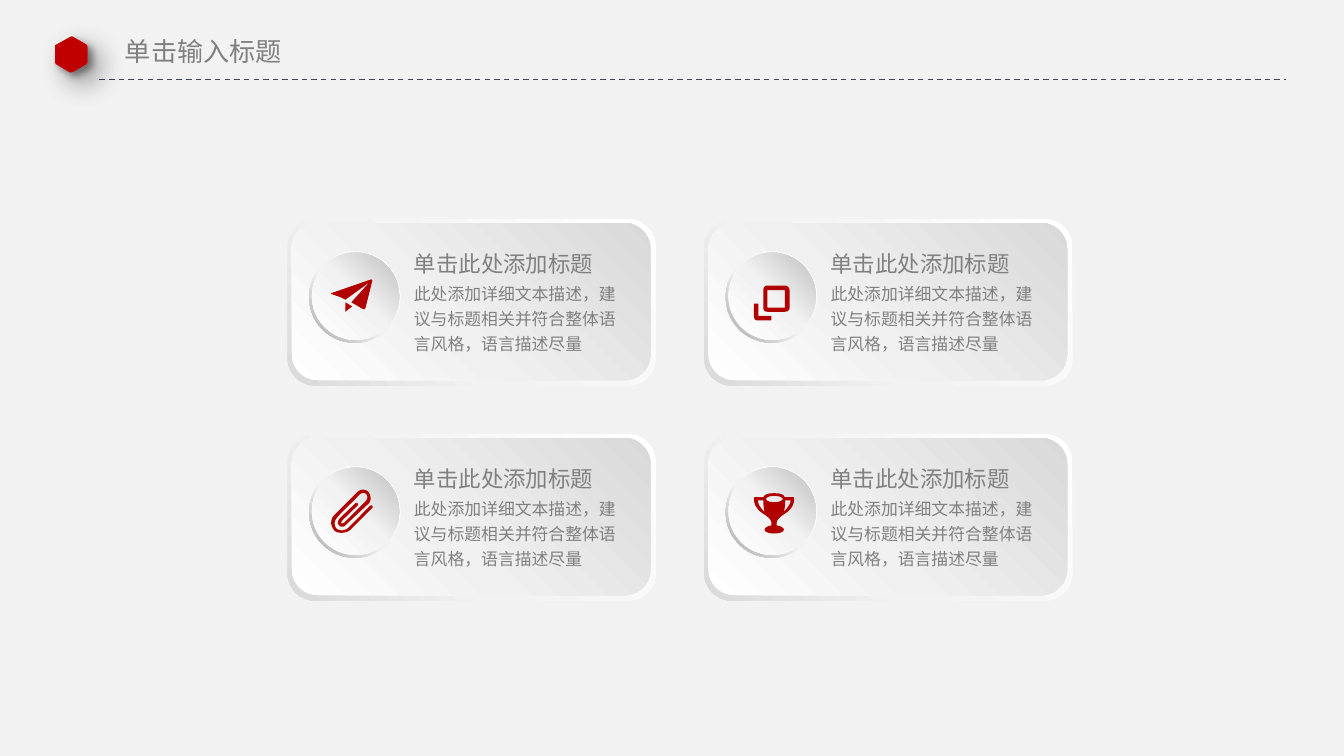
from lxml.etree import SubElement
from pptx import Presentation
from pptx.dml.color import RGBColor
from pptx.enum.dml import MSO_LINE_DASH_STYLE as Dash
from pptx.enum.shapes import MSO_CONNECTOR as Connector, MSO_SHAPE as Preset
from pptx.enum.text import MSO_ANCHOR as Anchor, MSO_AUTO_SIZE as AutoSize, PP_ALIGN as Align
from pptx.oxml.ns import qn
from pptx.util import Inches, Pt

GREY, RED, ICON_RED = "808080", "C00000", "B00000"
CARD_LEFTS, CARD_TOPS = (2.14, 5.24), (1.63, 3.23)
CARD_TITLE = "单击此处添加标题"
CARD_BODY = "此处添加详细文本描述，建议与标题相关并符合整体语言风格，语言描述尽量"

HEXAGON = [[(14, 28), (12, 28.5, 12, 28.5, 11, 28), (1, 22), (0, 21, 0, 21, 0, 20),
            (0, 8), (0, 7, 0, 7, 1, 6.5), (12, 0.3), (13, 0, 13, 0, 14, 0.3),
            (24, 6), (25, 7, 25.5, 7, 25.5, 9), (25.5, 20),
            (25.5, 21, 25, 22, 24, 22.3)]]
PLANE = [
    [(11, 24), (16, 20), (11, 17)],
    [(30, 0), (1, 10), (0, 10.4, 0, 10.7, 1, 11), (7, 13), (11, 15), (29, 2),
     (16, 16.3), (15.5, 17), (24, 22), (25, 22.3, 25.7, 22, 26, 21), (31, 1),
     (31, 0.3, 30.7, 0, 30, 0)],
]
WINDOWS = [
    [(0, 14), (0, 23), (0, 25.5, 1, 26.5, 3, 26.5), (13, 26.5), (13, 23), (3.3, 23), (3.3, 14)],
    [(23, 17), (10, 17), (10, 4), (23, 4)],
    [(23, 0.5), (10, 0.5), (8, 0.5, 7, 2, 7, 4), (7, 17), (7, 19, 8, 20, 10, 20),
     (23, 20), (25, 20, 26.5, 19, 26.5, 17), (26.5, 4), (26.5, 2, 25, 0.5, 23, 0.5)],
]
CLIP = [[
    (9, 32.5), (7, 32.5, 5, 32, 4, 31), (1, 28, 0, 23, 4, 19), (6, 17, 16, 7, 20.5, 2.5),
    (22, 1, 24, 0, 26, 0.5), (29, 1, 30, 3, 30.5, 5), (31, 7, 31, 9, 29, 11), (13, 26),
    (12, 27, 11, 28, 10, 28), (9, 28, 8, 28, 7.5, 27), (6, 26, 6, 24, 8, 21.5),
    (19, 11), (20, 10, 20.5, 10, 21, 10.5), (21.5, 11, 21.5, 12, 21, 12.3), (10, 23),
    (9, 24, 8.7, 25, 9, 25.3), (9.3, 25.7, 10, 25.7, 11, 25), (27, 9),
    (28, 8, 28.5, 7, 28.3, 5.5), (28, 4, 27.3, 3, 26, 2.8), (25, 2.7, 23.5, 3, 22.3, 4.3),
    (18, 9, 8, 18.3, 6, 21), (3, 24, 4, 27, 5, 29), (7, 31, 11, 31.5, 14, 29),
    (30.5, 12.3), (31, 12, 32, 12, 32, 12.5), (32.5, 13, 32.5, 13.6, 32, 14),
    (16, 30), (14, 32, 11, 32.5, 9, 32.5),
]]
TROPHY = [
    [(3, 5.3), (7, 5.3), (7, 9, 7.5, 12, 8, 14), (6, 12, 3, 9, 3, 5.3)],
    [(15, 2), (20, 2, 21.5, 3.7, 21.5, 4.3), (21.5, 5, 20, 6.7, 15, 6.7),
     (10.5, 6.7, 9, 5, 9, 4.3), (9, 3.7, 10.5, 2, 15, 2)],
    [(22, 14), (23, 12, 23.3, 9, 23.3, 5.3), (27.5, 5.3), (27, 9, 24, 12, 22, 14)],
    [(17, 22), (17, 20, 19, 18, 22, 16), (25, 14, 30, 11, 30, 4), (30, 3, 29.5, 3, 29, 3),
     (23, 3), (22, 1, 20, 0, 15, 0), (10, 0, 8, 1, 7, 3), (1, 3), (0.5, 3, 0, 3, 0, 4),
     (0, 11, 5, 14, 8, 16), (11, 18, 13, 20, 13, 22), (13, 24), (10, 24.3, 8, 26, 8, 27),
     (8, 29, 11, 30, 15, 30), (19, 30, 22.3, 29, 22.3, 27), (22.3, 26, 20, 24.3, 17, 24)],
]
ICONS = [(PLANE, 0.32, 0.45), (WINDOWS, 0.37, 0.49), (CLIP, 0.31, 0.41), (TROPHY, 0.37, 0.44)]


def colour(value):
    return RGBColor.from_string(value)


def paint(shape, fill, angle=0):
    shape.shadow.inherit = False
    shape.line.fill.background()
    if isinstance(fill, str):
        shape.fill.solid()
        shape.fill.fore_color.rgb = colour(fill)
        return
    shape.fill.gradient()
    shape.fill.gradient_angle = (360 - angle) % 360
    stops = shape._element.spPr.find(qn("a:gradFill")).find(qn("a:gsLst"))
    for stop in list(stops):
        stops.remove(stop)
    for position, value in fill:
        stop = SubElement(stops, qn("a:gs"), pos=str(position * 1000))
        SubElement(stop, qn("a:srgbClr"), val=value)


def add_shadow(shape, blur, distance):
    effects = shape._element.spPr.find(qn("a:effectLst"))
    shadow = SubElement(effects, qn("a:outerShdw"), blurRad=str(Pt(blur)), dist=str(Pt(distance)),
                        dir=str(45 * 60000), algn="tl", rotWithShape="0")
    black = SubElement(shadow, qn("a:srgbClr"), val="000000")
    SubElement(black, qn("a:alpha"), val="40000")


def add_preset(slide, preset, left, top, width, height, fill, angle):
    shape = slide.shapes.add_shape(preset, Inches(left), Inches(top), Inches(width), Inches(height))
    paint(shape, fill, angle)
    return shape


def flatten(contour, steps=6):
    points = [contour[0]]
    for segment in contour[1:]:
        if len(segment) == 2:
            points.append(segment)
            continue
        controls = [points[-1], segment[:2], segment[2:4], segment[4:]]
        for step in range(1, steps + 1):
            t = step / steps
            weights = ((1 - t) ** 3, 3 * t * (1 - t) ** 2, 3 * t * t * (1 - t), t ** 3)
            points.append(tuple(sum(w * c[axis] for w, c in zip(weights, controls))
                                for axis in (0, 1)))
    return [(x * 100, y * 100) for x, y in points]


def add_outline(slide, contours, left, top, fill, angle=0, size=1):
    outlines = [flatten(contour) for contour in contours]
    builder = slide.shapes.build_freeform(*outlines[0][0], scale=Inches(size) / 10000)
    for number, points in enumerate(outlines):
        if number:
            builder.move_to(*points[0])
        builder.add_line_segments(points[1:], close=True)
    shape = builder.convert_to_shape(Inches(left), Inches(top))
    paint(shape, fill, angle)
    return shape


def format_text(text_frame, text, size, font_name):
    text_frame.text = text
    paragraph = text_frame.paragraphs[0]
    paragraph.alignment = Align.LEFT
    font = paragraph.runs[0].font
    font.size, font.name = Pt(size), font_name
    font.color.rgb = colour(GREY)
    SubElement(font._element, qn("a:ea"), typeface=font_name)
    return paragraph


def add_text(slide, left, top, height, text, size, spacing, anchor):
    box = slide.shapes.add_textbox(Inches(left), Inches(top), Inches(1.59), Inches(height))
    frame = box.text_frame
    frame.word_wrap = True
    frame.vertical_anchor = anchor
    frame.margin_left = frame.margin_right = frame.margin_top = frame.margin_bottom = 0
    format_text(frame, text, size, "Arial").line_spacing = spacing


def add_header(slide):
    rule = slide.shapes.add_connector(Connector.STRAIGHT, Inches(0.74), Inches(0.59),
                                      Inches(9.57), Inches(0.59))
    rule.line.color.rgb = colour("414455")
    rule.line.width = Pt(0.75)
    rule.line.dash_style = Dash.DASH
    SubElement(rule._element.spPr, qn("a:effectLst"))

    rim = add_outline(slide, HEXAGON, 0.4, 0.26, [(0, "D3D3D3"), (100, "F9F9F9")], 270)
    add_shadow(rim, 15, 9)
    face = add_outline(slide, HEXAGON, 0.41, 0.27, RED, size=0.95)
    add_shadow(face, 4, 3)

    title = slide.shapes.title
    title.left, title.top, title.width, title.height = map(Inches, (0.83, 0.21, 1.38, 0.34))
    frame = title.text_frame
    frame.word_wrap = False
    frame.auto_size = AutoSize.SHAPE_TO_FIT_TEXT
    frame.vertical_anchor = Anchor.TOP
    format_text(frame, "单击输入标题", 14, "Noto Sans CJK SC")


def add_card(slide, left, top, icon):
    add_preset(slide, Preset.ROUNDED_RECTANGLE, left, top, 2.74, 1.24,
               [(0, "FFFFFF"), (62, "F2F2F2"), (100, "D9D9D9")], 135)
    add_preset(slide, Preset.ROUNDED_RECTANGLE, left + 0.03, top + 0.03, 2.67, 1.17,
               [(0, "FFFFFF"), (42, "F0F0F0"), (100, "D9D9D9")], 315)
    ring = add_preset(slide, Preset.DONUT, left + 0.16, top + 0.24, 0.68, 0.68,
                      [(0, "FFFFFF"), (55, "F2F2F2"), (100, "A6A6A6")], 135)
    ring.adjustments[0] = 0.05
    add_preset(slide, Preset.OVAL, left + 0.18, top + 0.25, 0.65, 0.65,
               [(0, "FFFFFF"), (51, "F2F2F2"), (100, "BFBFBF")], 315)
    add_text(slide, left + 0.94, top + 0.24, 0.23, CARD_TITLE, 12, 0.7, Anchor.MIDDLE)
    add_text(slide, left + 0.94, top + 0.44, 0.68, CARD_BODY, 9, 1.25, Anchor.TOP)
    contours, icon_left, icon_top = icon
    add_outline(slide, contours, left + icon_left, top + icon_top, ICON_RED)


def main():
    presentation = Presentation()
    presentation.slide_width = Inches(10)
    presentation.slide_height = Inches(10) * 9 // 16
    slide = presentation.slides.add_slide(presentation.slide_layouts[5])
    slide.background.fill.solid()
    slide.background.fill.fore_color.rgb = colour("F2F2F2")
    add_header(slide)
    places = [(left, top) for top in CARD_TOPS for left in CARD_LEFTS]
    for (left, top), icon in zip(places, ICONS):
        add_card(slide, left, top, icon)
    presentation.save("out.pptx")


if __name__ == "__main__":
    main()
